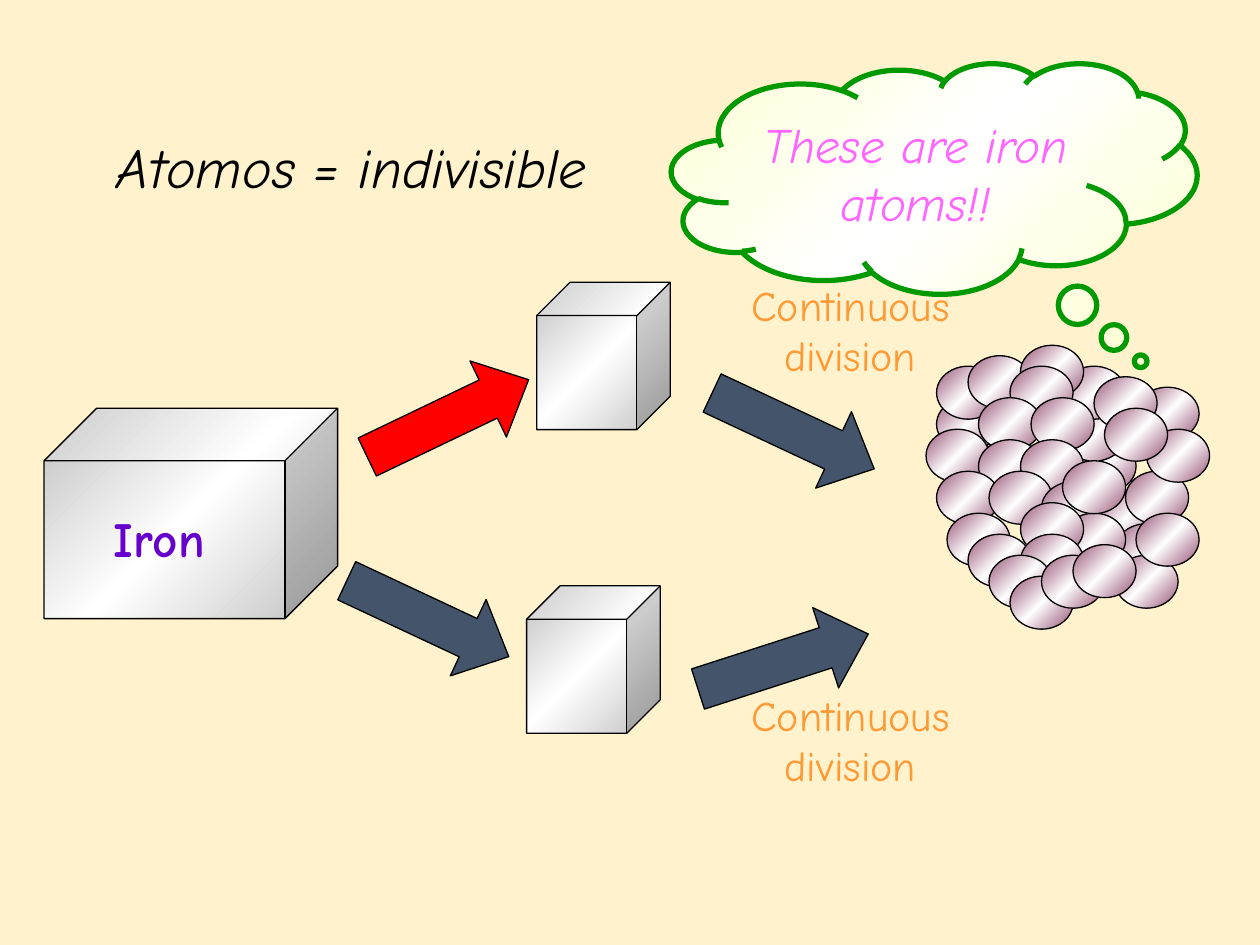
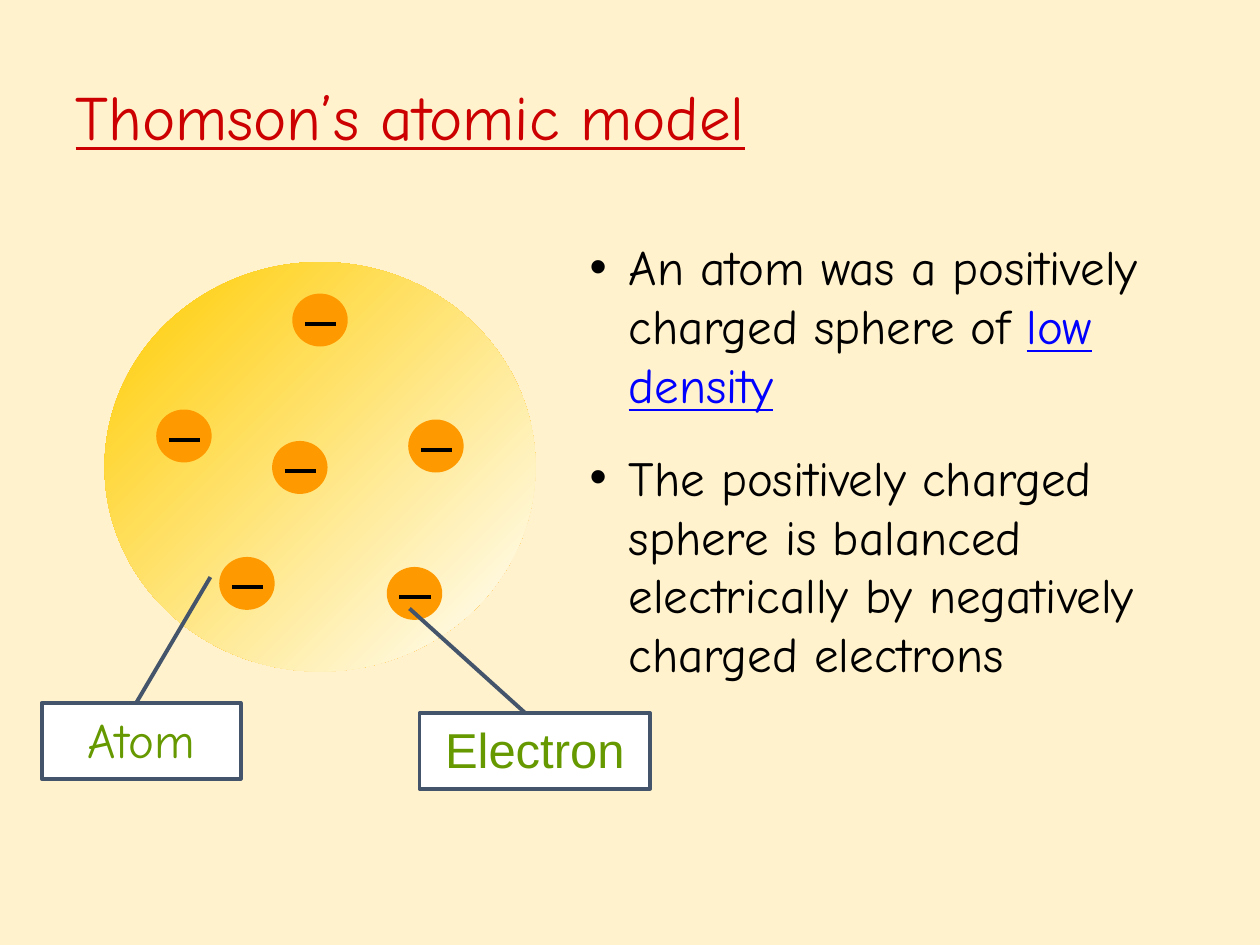
from dataclasses import dataclass
from lxml.etree import SubElement
from pptx import Presentation
from pptx.dml.color import RGBColor as RGB
from pptx.enum.shapes import MSO_CONNECTOR as Wire, MSO_SHAPE as Kind
from pptx.enum.text import MSO_ANCHOR as Anchor, MSO_AUTO_SIZE as Fit, PP_ALIGN as Align
from pptx.oxml.ns import qn
from pptx.util import Inches, Pt


@dataclass(frozen=True)
class Theme:
    """Colours, fonts and type sizes of the deck."""
    page: str = "FFF2CC"
    ink: str = "000000"
    slate: str = "44546A"
    red: str = "FF0000"
    title: str = "CC0000"
    iron: str = "6600CC"
    step: str = "FF9933"
    cloud: str = "FF66FF"
    edge: str = "009900"
    label: str = "669900"
    link: str = "0000FF"
    white: str = "FFFFFF"
    charge: str = "FF9900"
    metal: tuple = ("C0C0C0", "FFFFFF", "C0C0C0")
    ball: tuple = ("954F72", "FFFFFF", "954F72")
    mist: tuple = ("FFFFD5", "FFFFFF", "FFFFD5")
    glow: tuple = ("FFCC00", "FFFFFF")
    font: str = "Comic Neue"
    plain: str = "Arial"
    head: int = 36
    lead: int = 32
    body: int = 28
    note: int = 24
    thin: float = 0.75
    mid: float = 2.25
    thick: float = 3


T = Theme()
BALLS = [
    (1, 5), (1, 2), (4, 1), (0, 8), (14, 9), (13, 6), (13, 2), (9, 0), (8, 2), (5, 5),
    (5, 9), (10, 5), (9, 9), (1, 12), (6, 12), (11, 13), (2, 16), (16, 14), (20, 4), (18, 17),
    (13, 16), (9, 15), (19, 12), (21, 8), (16, 3), (17, 6), (4, 18), (13, 11), (9, 18), (6, 20),
    (8, 22), (11, 20), (18, 20), (20, 16), (14, 19),
]
CHARGES = [(0.41, 1.17), (1.33, 1.42), (2.41, 1.25), (2.24, 2.42), (0.91, 2.34), (1.49, 0.25)]


def blend(shape, tones):
    """Fill a shape with evenly spaced tones, from top left to bottom right."""
    shape.fill.gradient()
    shape.fill.gradient_angle = 315
    stops = shape._element.spPr.find(qn("a:gradFill")).find(qn("a:gsLst"))
    for stop in list(stops):
        stops.remove(stop)
    for i, tone in enumerate(tones):
        stop = SubElement(stops, qn("a:gs"), pos=str(100000 * i // (len(tones) - 1)))
        SubElement(stop, qn("a:srgbClr"), val=tone)


def draw(slide, kind, box, fill, edge=None, width=T.thin, turn=0, bends=()):
    """Add a preset shape with a plain or blended fill."""
    shape = slide.shapes.add_shape(kind, *map(Inches, box))
    shape.shadow.inherit = False
    shape.rotation = turn
    for i, bend in enumerate(bends):
        shape.adjustments[i] = bend
    if isinstance(fill, tuple):
        blend(shape, fill)
    else:
        shape.fill.solid()
        shape.fill.fore_color.rgb = RGB.from_string(fill)
    if edge:
        shape.line.color.rgb = RGB.from_string(edge)
        shape.line.width = Pt(width)
    else:
        shape.line.fill.background()
    return shape


def join(slide, start, end, color):
    """Add a straight line between two points."""
    line = slide.shapes.add_connector(Wire.STRAIGHT, *map(Inches, (*start, *end)))
    line.line.color.rgb = RGB.from_string(color)
    line.line.width = Pt(T.mid)
    SubElement(line._element.spPr, qn("a:effectLst"))


def write(shape, text, size, color, align=Align.CENTER, anchor=Anchor.TOP, face=T.font, **style):
    """Set one paragraph of text in a shape and return it."""
    frame = shape.text_frame
    frame.word_wrap, frame.auto_size = True, Fit.NONE
    frame.vertical_anchor = anchor
    para = frame.paragraphs[0]
    para.text, para.alignment = text, align
    para.space_before = Pt(0)
    font = para.font
    font.name, font.size = face, Pt(size)
    font.color.rgb = RGB.from_string(color)
    for name, value in style.items():
        setattr(font, name, value)
    return para


def place(shape, box):
    """Move a placeholder to a box."""
    shape.left, shape.top, shape.width, shape.height = map(Inches, box)
    return shape


def note(slide, box, text, size, color, **style):
    """Add a centred text box."""
    write(slide.shapes.add_textbox(*map(Inches, box)), text, size, color, **style)


def cube(slide, box):
    """Add a metal cube."""
    draw(slide, Kind.CUBE, box, T.metal, T.ink, bends=(0.25,))


def arrow(slide, left, top, turn, fill=T.slate):
    """Add a turned block arrow."""
    draw(slide, Kind.DOWN_ARROW, (left, top, 0.67, 1.42), fill, T.ink, turn=turn, bends=(0.5, 0.53))


def split(slide, left, top):
    """Show the iron block and its repeated division."""
    cube(slide, (left, top + 1, 2.33, 1.67))
    note(slide, (left + 0.33, top + 1.75, 1.17, 0.57), "Iron", T.body, T.iron, bold=True)
    arrow(slide, left + 5.53, top + 2.3, 252.1)
    arrow(slide, left + 5.61, top + 0.47, 295.1)
    for drop in (-0.07, 3.18):
        note(slide, (left + 5.4, top + drop, 2, 0.9), "Continuous division", T.note, T.step)
    for shift, drop in ((3.91, 0), (3.83, 2.41)):
        cube(slide, (left + shift, top + drop, 1.06, 1.17))
    arrow(slide, left + 2.87, top + 0.37, 244.4, T.red)
    arrow(slide, left + 2.71, top + 1.96, 295.1)


def heap(slide, left, top):
    """Pile up the iron atoms on a grid of twelfths of an inch."""
    for col, row in BALLS:
        draw(slide, Kind.OVAL, (left + col / 12, top + row / 12, 0.5, 0.42), T.ball, T.ink)


def cloud(slide, box):
    """Add the thought cloud."""
    shape = draw(slide, Kind.CLOUD_CALLOUT, box, T.mist, T.edge, T.thick, bends=(0.393, 0.794))
    write(shape, "These are iron atoms!!", T.body, T.cloud, anchor=Anchor.MIDDLE, italic=True)


def label(slide, box, text, start, end, face=T.font):
    """Add a framed label with its pointer line."""
    join(slide, start, end, T.slate)
    shape = draw(slide, Kind.RECTANGLE, box, T.white, T.slate, T.mid)
    write(shape, text, T.body, T.label, face=face)


def atom(slide, left, top):
    """Show the charged sphere, its electrons and both labels."""
    draw(slide, Kind.OVAL, (left, top, 3.42, 3.25), T.glow)
    label(slide, (left - 0.5, top + 3.5, 1.58, 0.6), "Atom",
          (left + 0.84, top + 2.5), (left + 0.25, top + 3.5))
    for shift, drop in CHARGES:
        x, y = left + shift, top + drop
        draw(slide, Kind.OVAL, (x, y, 0.44, 0.42), T.charge)
        join(slide, (x + 0.1, y + 0.24), (x + 0.35, y + 0.24), T.ink)
    label(slide, (left + 2.5, top + 3.58, 1.83, 0.6), "Electron",
          (left + 2.42, top + 2.75), (left + 3.34, top + 3.58), T.plain)


def point(shape, box, text, link=""):
    """Fill a body placeholder with one bullet and an optional marked ending."""
    para = write(place(shape, box), text, T.body, T.ink, Align.LEFT)
    props = para._p.get_or_add_pPr()
    props.set("marL", str(Inches(0.31)))
    props.set("indent", str(-Inches(0.31)))
    if link:
        run = para.add_run()
        run.text = link
        run.font.underline = True
        run.font.color.rgb = RGB.from_string(T.link)


def iron_slide(deck):
    """Build the slide on dividing iron into atoms."""
    slide = deck.slides.add_slide(deck.slide_layouts[5])
    title = place(slide.shapes.title, (0.42, 1, 4.75, 0.63))
    write(title, "Atomos = indivisible", T.lead, T.ink, italic=True)
    split(slide, 0.35, 2.24)
    heap(slide, 7.35, 2.74)
    cloud(slide, (5.33, 0.5, 4.17, 1.83))


def model_slide(deck):
    """Build the slide on the atomic model."""
    slide = deck.slides.add_slide(deck.slide_layouts[3])
    title = place(slide.shapes.title, (0.5, 0.58, 5.92, 0.75))
    para = write(title, "Thomson’s atomic model", T.head, T.title, Align.LEFT,
                 Anchor.MIDDLE, underline=True)
    para.line_spacing = 0.9
    atom(slide, 0.83, 2.08)
    first, second = slide.placeholders[1], slide.placeholders[2]
    point(first, (4.58, 1.83, 5, 1.5), "An atom was a positively charged sphere of ", "low density")
    point(second, (4.58, 3.5, 5.17, 1.97), "The positively charged sphere is balanced "
          "electrically by negatively charged electrons")


def main():
    """Build and save the deck."""
    deck = Presentation()
    deck.slide_width, deck.slide_height = Inches(10), Inches(7.5)
    page = deck.slide_master.background.fill
    page.solid()
    page.fore_color.rgb = RGB.from_string(T.page)
    iron_slide(deck)
    model_slide(deck)
    deck.save("out.pptx")


if __name__ == "__main__":
    main()
